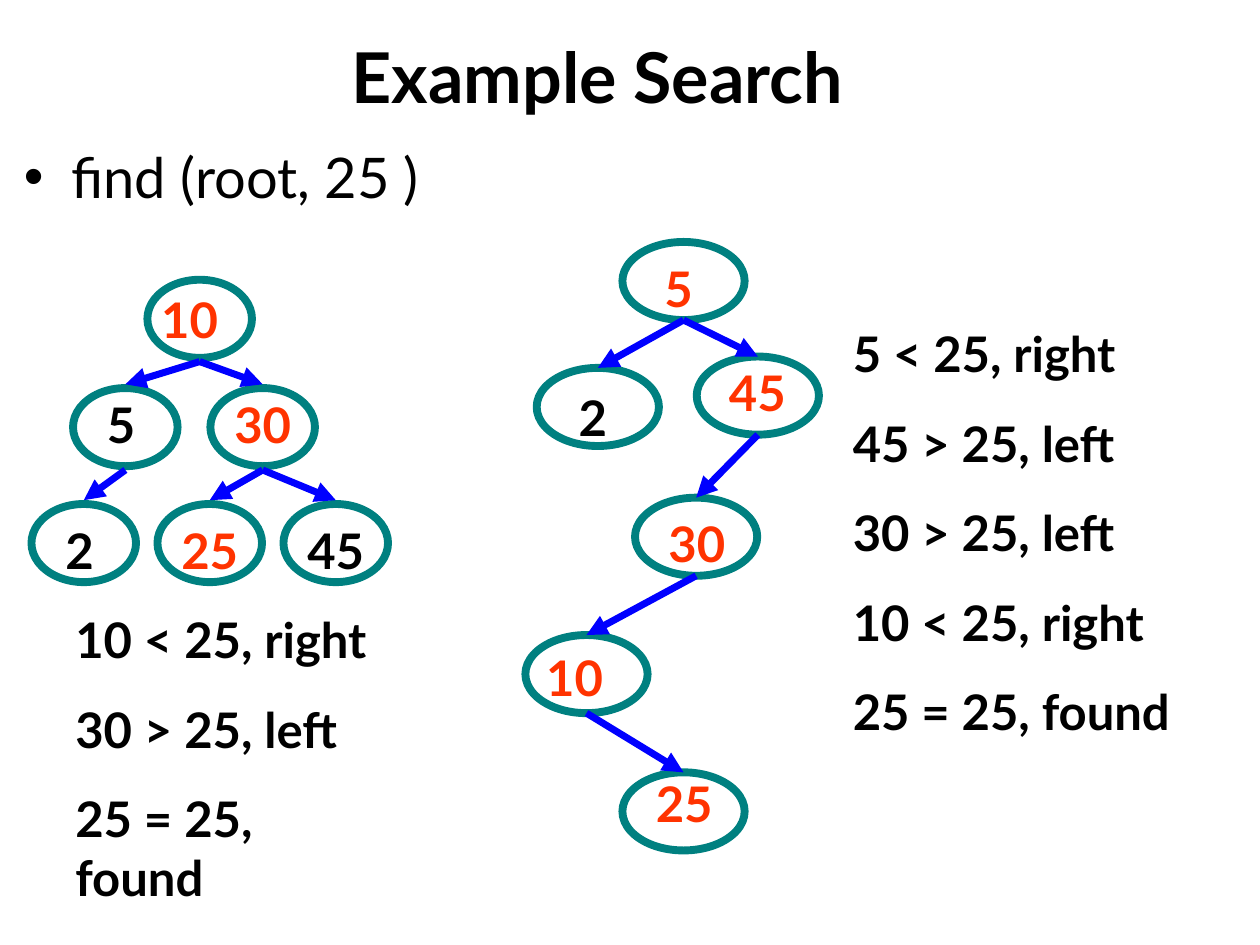
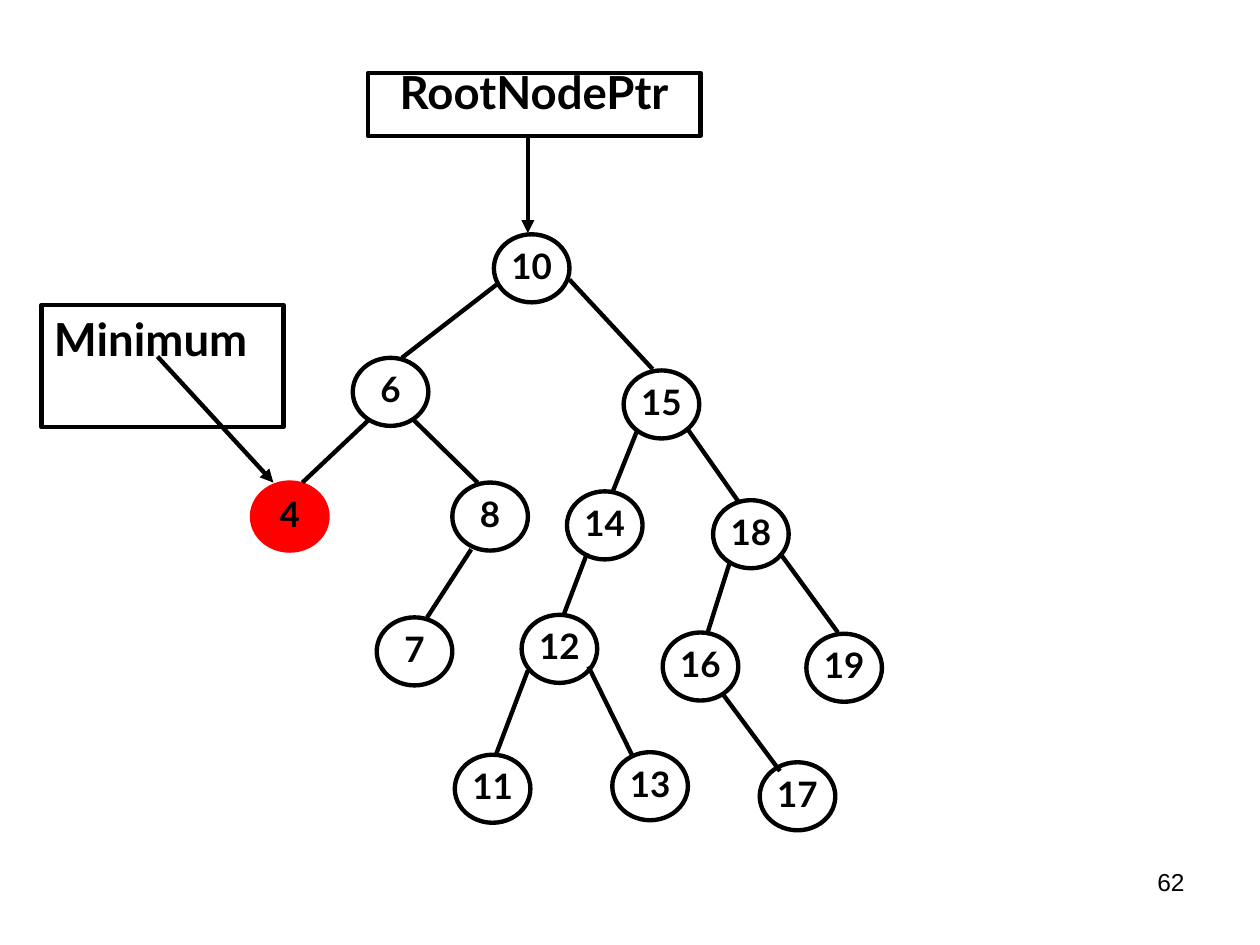
from lxml.etree import SubElement
from pptx import Presentation
from pptx.dml.color import RGBColor
from pptx.enum.shapes import MSO_CONNECTOR, MSO_SHAPE
from pptx.enum.text import MSO_ANCHOR, PP_ALIGN
from pptx.oxml.ns import qn
from pptx.util import Inches, Pt

BLACK, RED, ORANGE = "000000", "FF0000", "FF3300"
TEAL, BLUE = "008080", "0000FF"

TITLE = {"name": "Lato", "size": Pt(40), "bold": True}
BULLET = {"name": "Lato", "size": Pt(32), "bold": False}
STEP = {"name": "Lato", "size": Pt(28), "bold": True}
POINTER = {"name": "Lato", "size": Pt(26), "bold": True}
NODE = {"name": "Lato", "size": Pt(20), "bold": True}
PAGE_NUMBER = {"name": "Arial", "size": Pt(14), "bold": False}

BALANCED_TREE = {
    "size": (0.83, 0.62), "digit_widths": (0.42, 0.67), "gap": 0.03,
    "nodes": {
        "10": (1.17, 2.22, 1.17, 2.25), "5": (0.58, 3.08, 0.75, 3.08),
        "30": (1.67, 3.08, 1.75, 3.08), "2": (0.25, 4, 0.42, 4.08),
        "25": (1.25, 4, 1.33, 4.08), "45": (2.25, 4, 2.33, 4.08),
    },
    "edges": [("10", "5"), ("10", "30"), ("5", "2"), ("30", "25"), ("30", "45")],
    "visited": {"10", "30", "25"},
}
UNBALANCED_TREE = {
    "size": (0.97, 0.62), "digit_widths": (0.49, 0.78), "gap": 0,
    "nodes": {
        "5": (4.94, 1.92, 5.14, 2), "2": (4.26, 2.92, 4.46, 3.03),
        "45": (5.53, 2.83, 5.62, 2.83), "30": (5.04, 3.95, 5.14, 4.03),
        "10": (4.17, 5.04, 4.17, 5.09), "25": (4.94, 6.13, 5.04, 6.09),
    },
    "edges": [("5", "2"), ("5", "45"), ("45", "30"), ("30", "10"), ("10", "25")],
    "visited": {"5", "45", "30", "10", "25"},
}
MINIMUM_TREE_NODES = {
    "4": (2, 3.83), "10": (3.92, 1.86), "6": (2.8, 2.84), "7": (2.99, 4.9),
    "15": (4.95, 2.94), "8": (3.59, 3.83), "18": (5.66, 3.97),
    "14": (4.5, 3.9), "12": (4.14, 4.88), "19": (6.4, 5.03),
    "11": (3.61, 5.99), "16": (5.26, 5.02), "13": (4.86, 5.97),
    "17": (6.03, 6.05),
}
MINIMUM_TREE_EDGES = [
    (3.94, 2.26, 3.19, 2.84), (4.52, 2.22, 5.18, 2.93),
    (2.93, 3.33, 2.4, 3.83), (3.27, 3.32, 3.79, 3.83),
    (3.74, 4.36, 3.39, 4.9), (5.06, 3.41, 4.86, 3.91),
    (5.46, 3.41, 5.86, 3.98), (4.66, 4.39, 4.47, 4.89),
    (5.79, 4.47, 5.61, 5.04), (6.19, 4.39, 6.65, 5.02),
    (4.19, 5.32, 3.94, 5.98), (4.67, 5.29, 5.02, 6),
    (5.73, 5.5, 6.19, 6.12),
]
POINTER_ARROWS = [(4.19, 1.09, 4.19, 1.85), (1.25, 2.83, 2.17, 3.83)]


def color(hex_string):
    """Return the colour for a hex string."""
    return RGBColor.from_string(hex_string)


def write_text(shape, lines, font_format, hex_color=BLACK,
               alignment=PP_ALIGN.LEFT, anchor=MSO_ANCHOR.TOP, space_before=0):
    """Write one formatted paragraph per line into a shape."""
    frame = shape.text_frame
    frame.word_wrap = True
    frame.vertical_anchor = anchor
    for index, line in enumerate(lines):
        paragraph = frame.add_paragraph() if index else frame.paragraphs[0]
        paragraph.alignment = alignment
        paragraph.space_before = Pt(space_before if index else 0)
        run = paragraph.add_run()
        run.text = line
        for attribute, value in font_format.items():
            setattr(run.font, attribute, value)
        run.font.color.rgb = color(hex_color)
    return frame


def add_text(slide, box, lines, font_format, **options):
    """Add a text box and return its text frame."""
    text_box = slide.shapes.add_textbox(*map(Inches, box))
    return write_text(text_box, lines, font_format, **options)


def add_title(slide, box, text):
    """Place and fill the title placeholder."""
    title = slide.shapes.title
    for attribute, value in zip(("left", "top", "width", "height"), box):
        setattr(title, attribute, Inches(value))
    write_text(title, [text], TITLE, alignment=PP_ALIGN.CENTER,
               anchor=MSO_ANCHOR.MIDDLE)


def add_bullet(slide, box, text):
    """Add a text box with one bulleted line."""
    frame = add_text(slide, box, [text], BULLET)
    properties = frame.paragraphs[0]._p.get_or_add_pPr()
    properties.set("marL", str(Inches(0.38)))
    properties.set("indent", str(Inches(-0.38)))
    SubElement(properties, qn("a:buFont"), typeface="Arial")
    SubElement(properties, qn("a:buChar"), char="•")


def add_outline(slide, kind, box, line_color, line_width, fill=None):
    """Add a preset shape with an outline and an optional fill."""
    shape = slide.shapes.add_shape(kind, *map(Inches, box))
    shape.shadow.inherit = False
    shape.line.color.rgb = color(line_color)
    shape.line.width = Pt(line_width)
    if fill:
        shape.fill.solid()
        shape.fill.fore_color.rgb = color(fill)
    else:
        shape.fill.background()
    return shape


def add_line(slide, ends, hex_color, width, arrow=False):
    """Add a straight line, with an arrowhead at its end if wanted."""
    connector = slide.shapes.add_connector(
        MSO_CONNECTOR.STRAIGHT, *map(Inches, ends))
    connector.line.color.rgb = color(hex_color)
    connector.line.width = Pt(width)
    properties = connector.element.spPr
    if arrow:
        SubElement(properties.find(qn("a:ln")), qn("a:tailEnd"), type="triangle")
    SubElement(properties, qn("a:effectLst"))


def add_search_tree(slide, tree):
    """Draw a search tree whose visited nodes have highlighted labels."""
    width, height = tree["size"]
    nodes, gap = tree["nodes"], tree["gap"]
    for left, top, *_ in nodes.values():
        add_outline(slide, MSO_SHAPE.OVAL, (left, top, width, height), TEAL, 4.5)
    for parent, child in tree["edges"]:
        parent_left, parent_top = nodes[parent][:2]
        child_left, child_top = nodes[child][:2]
        ends = (parent_left + width / 2, parent_top + height + gap,
                child_left + width / 2, child_top - gap)
        add_line(slide, ends, BLUE, 4, arrow=True)
    for label, (_, _, left, top) in nodes.items():
        label_width = tree["digit_widths"][len(label) - 1]
        add_text(slide, (left, top, label_width, 0.57), [label], STEP,
                 hex_color=ORANGE if label in tree["visited"] else BLACK,
                 alignment=PP_ALIGN.CENTER)


def add_number_node(slide, label, left, top, highlighted):
    """Add a round node with its number inside."""
    fill, line_color = (RED, RED) if highlighted else (None, BLACK)
    node = add_outline(slide, MSO_SHAPE.OVAL, (left, top, 0.6, 0.54),
                       line_color, 2.5, fill)
    frame = write_text(node, [label], NODE, alignment=PP_ALIGN.CENTER)
    for side in ("left", "top", "right", "bottom"):
        setattr(frame, f"margin_{side}", 0)


def add_pointer_box(slide, box, text, alignment):
    """Add a framed pointer name and return its text frame."""
    frame_shape = add_outline(slide, MSO_SHAPE.RECTANGLE, box, BLACK, 2.5)
    return write_text(frame_shape, [text], POINTER, alignment=alignment)


def build_search_slide(presentation):
    """Build the slide that compares a search in two trees."""
    slide = presentation.slides.add_slide(presentation.slide_layouts[5])
    add_title(slide, (2.49, 0.25, 4.5, 0.7), "Example Search")
    add_bullet(slide, (0.09, 1.08, 9.58, 6), "find (root, 25 )")
    for tree in (BALANCED_TREE, UNBALANCED_TREE):
        add_search_tree(slide, tree)
    add_text(slide, (0.5, 4.79, 2.67, 2.92),
             ["10 < 25, right", "30 > 25, left", "25 = 25, found"],
             STEP, space_before=17.5)
    add_text(slide, (6.67, 2.52, 3, 3.41),
             ["5 < 25, right", "45 > 25, left", "30 > 25, left",
              "10 < 25, right", "25 = 25, found"],
             STEP, space_before=17.5)


def build_minimum_slide(presentation):
    """Build the slide that points out the smallest node."""
    slide = presentation.slides.add_slide(presentation.slide_layouts[6])
    add_text(slide, (7.17, 6.83, 2.33, 0.52), ["62"], PAGE_NUMBER,
             alignment=PP_ALIGN.RIGHT)
    root_frame = add_pointer_box(slide, (2.92, 0.58, 2.64, 0.5),
                                 "RootNodePtr", PP_ALIGN.CENTER)
    root_frame.paragraphs[0].line_spacing = 0.7
    for label, (left, top) in MINIMUM_TREE_NODES.items():
        add_number_node(slide, label, left, top, highlighted=label == "4")
    for ends in MINIMUM_TREE_EDGES:
        add_line(slide, ends, BLACK, 2.5)
    for ends in POINTER_ARROWS:
        add_line(slide, ends, BLACK, 2.5, arrow=True)
    add_pointer_box(slide, (0.33, 2.42, 1.92, 0.97), "Minimum", PP_ALIGN.LEFT)


def main():
    """Build and save the presentation."""
    presentation = Presentation()
    presentation.slide_width = Inches(10)
    presentation.slide_height = Inches(7.5)
    build_search_slide(presentation)
    build_minimum_slide(presentation)
    presentation.save("out.pptx")


if __name__ == "__main__":
    main()
